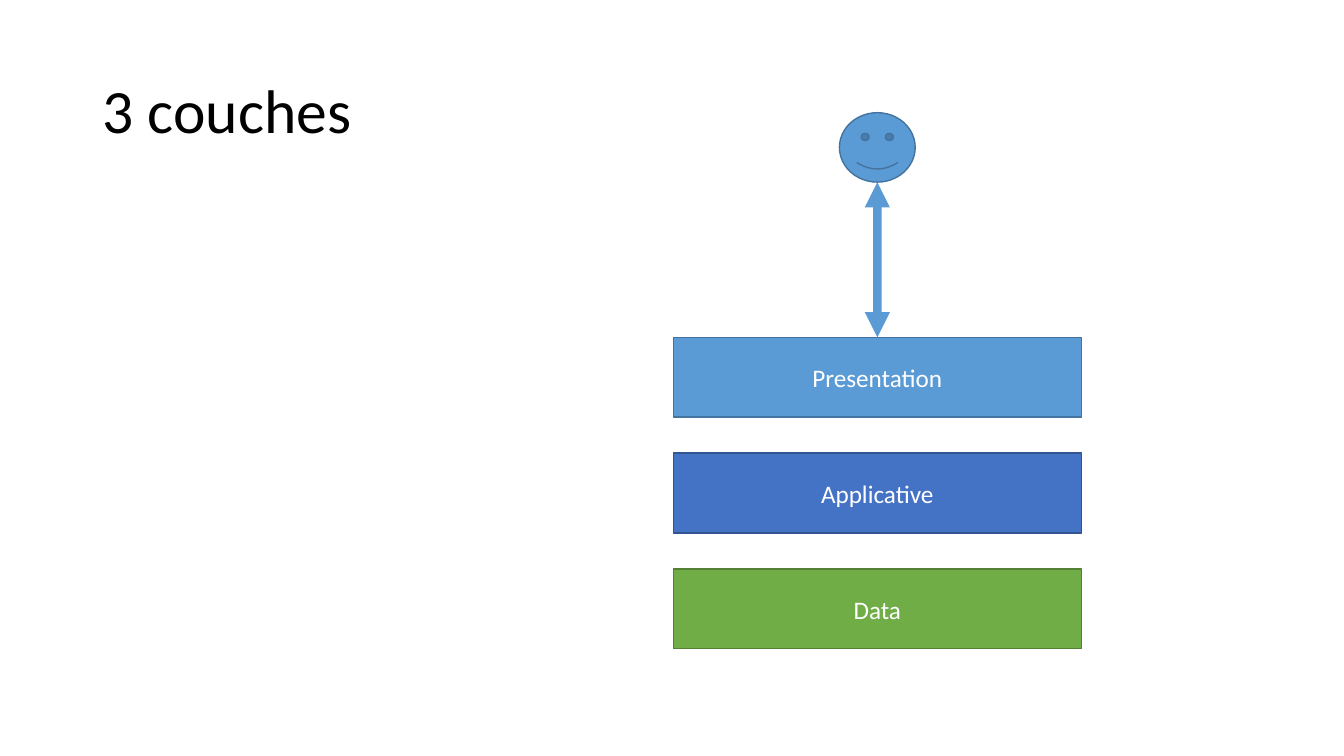
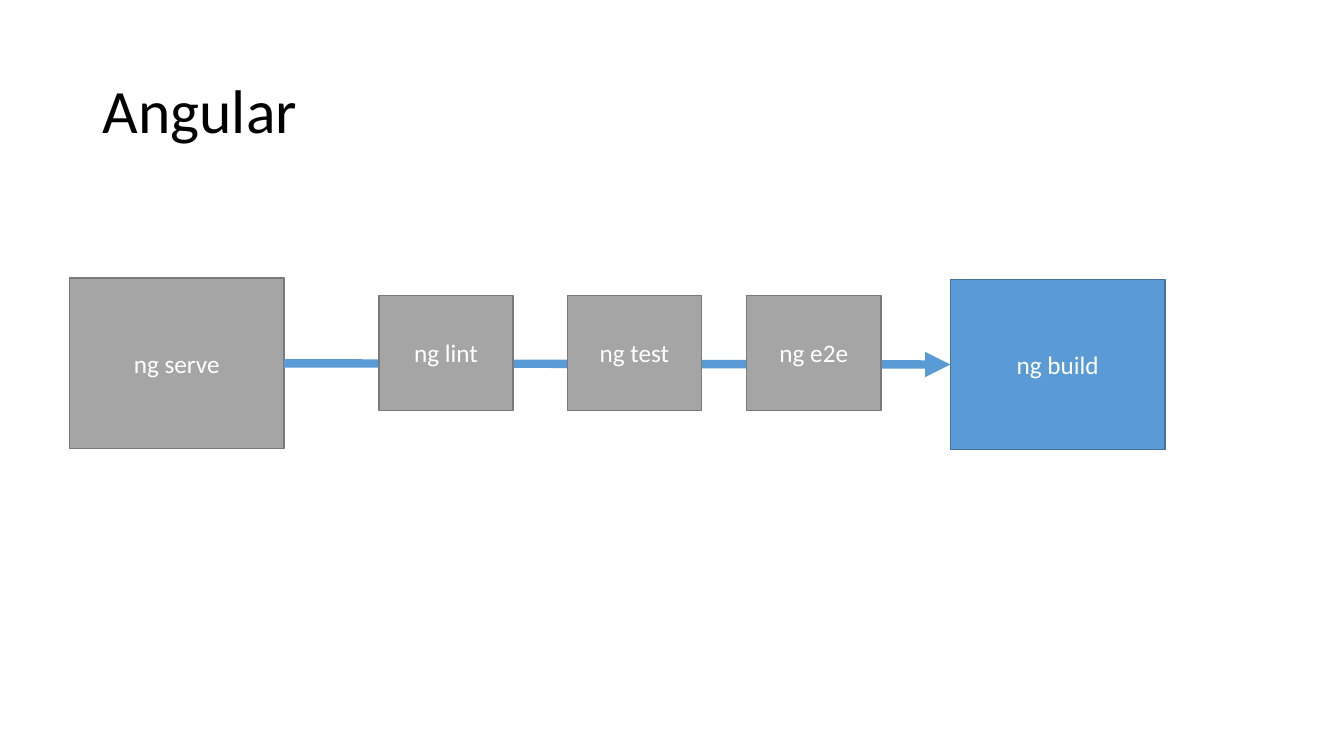
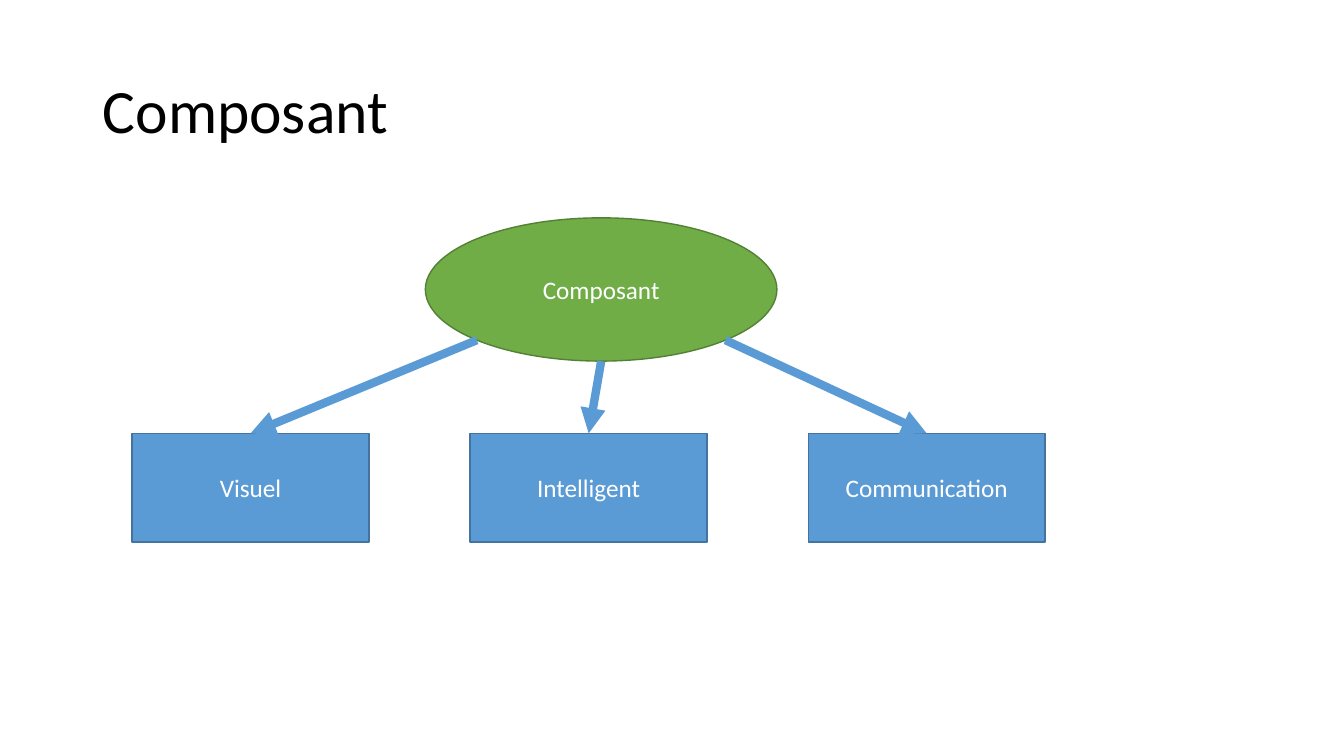
from dataclasses import dataclass
import math

import pptx
import pptx.util
from lxml import etree
from pptx.dml.color import RGBColor
from pptx.enum.shapes import MSO_CONNECTOR, MSO_SHAPE
from pptx.enum.text import MSO_ANCHOR, PP_ALIGN
from pptx.oxml.ns import qn

Cm = pptx.util.Cm
Pt = pptx.util.Pt
TOP, LEFT, RIGHT = 0, 1, 3


@dataclass(frozen=True)
class Theme:
    font: str = "Calibri"
    title_size: int = 44
    label_size: int = 18
    outline_width: int = 1
    arrow_width: int = 6
    black: str = "000000"
    white: str = "FFFFFF"
    sky: tuple = ("5B9BD5", "43739E")
    blue: tuple = ("4472C4", "325491")
    green: tuple = ("70AD47", "538035")
    grey: tuple = ("A5A5A5", "7A7A7A")


class Deck:
    def __init__(self, theme):
        self.theme = theme
        self.prs = pptx.Presentation()
        self.prs.slide_width, self.prs.slide_height = Cm(33.87), Cm(19.05)
        self.s = None

    def slide(self, title):
        self.s = self.prs.slides.add_slide(self.prs.slide_layouts[6])
        box = self.s.shapes.add_textbox(Cm(2.34), Cm(1.02), Cm(29.21), Cm(3.68))
        t = self.theme
        self.label(box, title, t.title_size, t.black,
                   {"alignment": PP_ALIGN.LEFT, "line_spacing": 0.9})

    def label(self, sp, text, size, color, paragraph_format):
        tf = sp.text_frame
        tf.word_wrap = True
        tf.vertical_anchor = MSO_ANCHOR.MIDDLE
        p = tf.paragraphs[0]
        for name, value in paragraph_format.items():
            setattr(p, name, value)
        r = p.add_run()
        r.text = text
        for name, value in {"name": self.theme.font, "size": Pt(size)}.items():
            setattr(r.font, name, value)
        r.font.color.rgb = RGBColor.from_string(color)

    def shape(self, x, y, w, h, colors, text="", kind=MSO_SHAPE.RECTANGLE):
        sp = self.s.shapes.add_shape(kind, Cm(x), Cm(y), Cm(w), Cm(h))
        fill, outline = colors
        sp.shadow.inherit = False
        sp.fill.solid()
        sp.fill.fore_color.rgb = RGBColor.from_string(fill)
        sp.line.color.rgb = RGBColor.from_string(outline)
        sp.line.width = Pt(self.theme.outline_width)
        if text:
            self.label(sp, text, self.theme.label_size, self.theme.white,
                       {"alignment": PP_ALIGN.CENTER})
        return sp

    def arrow(self, start, target, side, ends=("tailEnd",)):
        c = self.s.shapes.add_connector(MSO_CONNECTOR.STRAIGHT, *start, *start)
        c.end_connect(target, side)
        c.line.color.rgb = RGBColor.from_string(self.theme.sky[0])
        c.line.width = Pt(self.theme.arrow_width)
        spPr = c._element.spPr
        for end in ends:
            etree.SubElement(spPr.find(qn("a:ln")), qn(f"a:{end}"), type="triangle")
        etree.SubElement(spPr, qn("a:effectLst"))
        return c


def rim_point(sp, degrees):
    angle = math.radians(degrees)
    return (int(sp.left + sp.width / 2 * (1 + math.cos(angle))),
            int(sp.top + sp.height / 2 * (1 + math.sin(angle))))


def layers_slide(deck):
    t = deck.theme
    deck.slide("3 couches")
    x, y, w, h, pitch = 16.97, 8.5, 10.28, 2.01, 2.92
    layers = [("Presentation", t.sky), ("Applicative", t.blue), ("Data", t.green)]
    boxes = [deck.shape(x, y + i * pitch, w, h, colors, text)
             for i, (text, colors) in enumerate(layers)]
    face_w = 1.91
    user = deck.shape(x + (w - face_w) / 2, 2.84, face_w, 1.75, t.sky,
                      kind=MSO_SHAPE.SMILEY_FACE)
    deck.arrow(rim_point(user, 90), boxes[0], TOP, ("headEnd", "tailEnd"))


def angular_slide(deck):
    t = deck.theme
    deck.slide("Angular")
    w, h = 5.41, 4.29
    serve = deck.shape(1.75, 7.01, w, h, t.grey, "ng serve")
    build = deck.shape(23.95, 7.04, w, h, t.sky, "ng build")
    flow = deck.arrow((serve.left, serve.top), build, LEFT)
    flow.begin_connect(serve, RIGHT)
    for x, text in [(9.55, "ng lint"), (14.3, "ng test"), (18.82, "ng e2e")]:
        deck.shape(x, 7.44, 3.38, 2.9, t.grey, text)


def component_slide(deck):
    t = deck.theme
    deck.slide("Composant")
    component = deck.shape(10.72, 5.49, 8.86, 3.61, t.green, "Composant",
                           MSO_SHAPE.OVAL)
    roles = [("Visuel", 135), ("Intelligent", 90), ("Communication", 45)]
    for i, (text, degrees) in enumerate(roles):
        box = deck.shape(3.33 + i * 8.52, 10.92, 5.97, 2.74, t.sky, text)
        deck.arrow(rim_point(component, degrees), box, TOP)


def main():
    deck = Deck(Theme())
    layers_slide(deck)
    angular_slide(deck)
    component_slide(deck)
    deck.prs.save("out.pptx")


if __name__ == "__main__":
    main()
